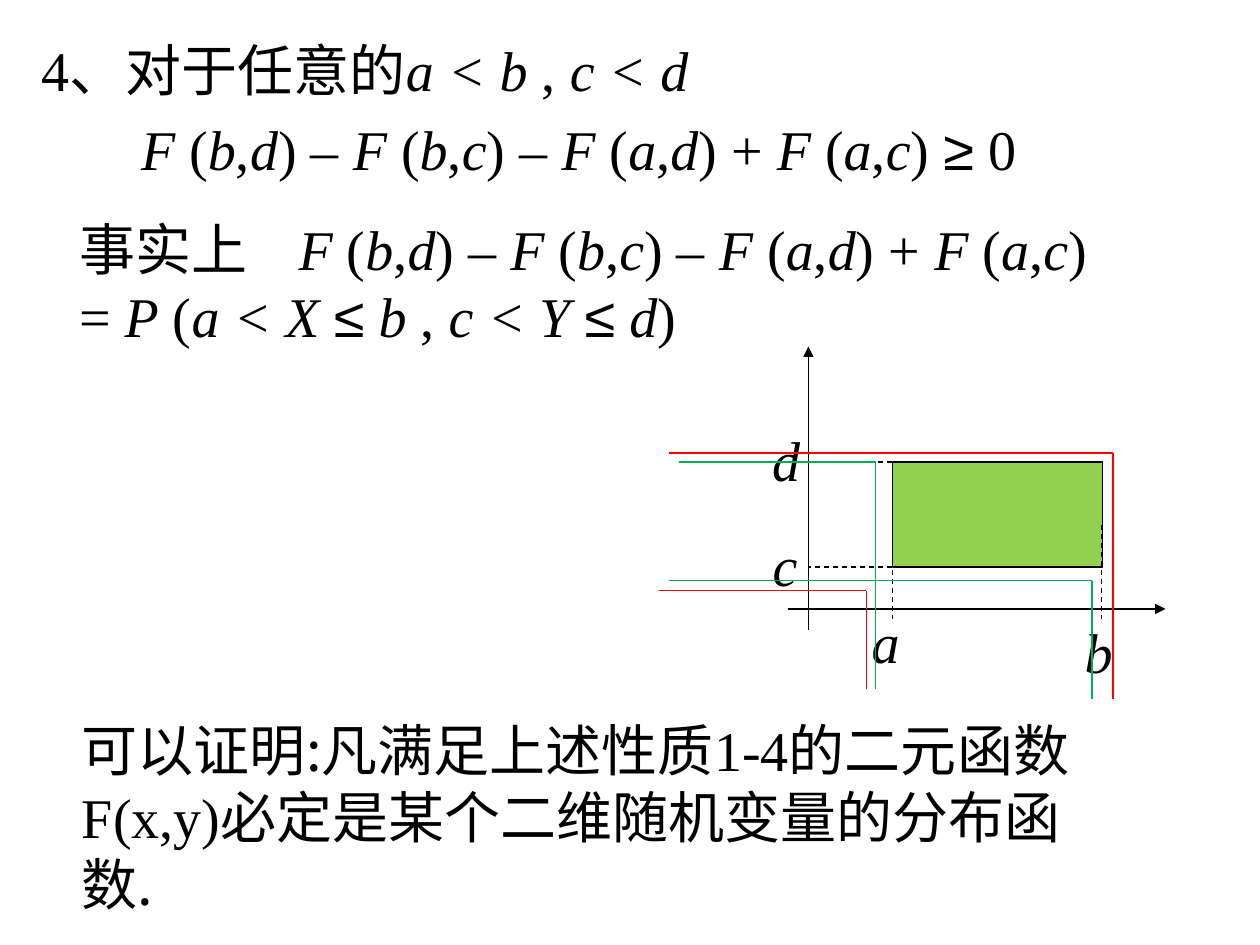
from itertools import groupby
from typing import NamedTuple

from lxml import etree
from pptx import Presentation
from pptx.dml.color import RGBColor
from pptx.enum.dml import MSO_LINE
from pptx.enum.shapes import MSO_CONNECTOR, MSO_SHAPE
from pptx.enum.text import MSO_ANCHOR, MSO_AUTO_SIZE, PP_ALIGN
from pptx.oxml.ns import qn
from pptx.util import Inches, Pt

BLACK = RGBColor(0x00, 0x00, 0x00)
RED = RGBColor(0xFF, 0x00, 0x00)
GREEN = RGBColor(0x00, 0xB0, 0x50)
LIME = RGBColor(0x92, 0xD0, 0x50)
STRAIGHT = MSO_CONNECTOR.STRAIGHT
RECTANGLE = MSO_SHAPE.RECTANGLE
DASH = MSO_LINE.DASH
LEFT = PP_ALIGN.LEFT
TOP, MIDDLE = MSO_ANCHOR.TOP, MSO_ANCHOR.MIDDLE
NO_AUTOSIZE = MSO_AUTO_SIZE.NONE

SERIF, SYMBOL, HAN = "Times New Roman", "Arial", "Noto Sans CJK SC"
SLIDE_WIDTH, SLIDE_HEIGHT = Inches(10), Inches(7.5)
COLUMNS, ROWS = 120, 90
HAIRLINE = Pt(0.75)

# Grid positions of the diagram
A, B, C, D = 85, 105, 54, 44
Y_AXIS, X_AXIS = 77, 58


class Run(NamedTuple):
    text: str
    font: str = SERIF
    italic: bool = False


class Box(NamedTuple):
    left: float
    top: float
    width: float
    height: float


class Quadrant(NamedTuple):
    """Region to the lower left of a corner, open at both ends."""
    start: float
    corner_x: float
    corner_y: float
    end: float
    color: RGBColor


class Label(NamedTuple):
    letter: str
    left: float
    top: float


INCREMENT = "*F *(*b*,*d*) – *F *(*b*,*c*) – *F *(*a*,*d*) + *F *(*a*,*c*)"
CONCLUSION = [
    Run("可以证明:凡满足上述性质", HAN), Run("1-4"), Run("的二元函数", HAN),
    Run("F(x,y)"), Run("必定是某个二维随机变量的分布函数.", HAN),
]
LABELS = [
    Label("a", 81.84, 57.24), Label("b", 102.12, 58.2),
    Label("c", 72.4, 49.92), Label("d", 72.36, 39.96),
]
QUADRANTS = [
    Quadrant(63.75, 106, 43.15, 66.6, RED),
    Quadrant(63.75, 104, 55.3, 66.6, GREEN),
    Quadrant(64.7, 83.4, 44, 65.6, GREEN),
    Quadrant(62.75, 82.5, 56.25, 65.6, RED),
]


def col(count: float) -> int:
    return round(SLIDE_WIDTH * count / COLUMNS)


def row(count: float) -> int:
    return round(SLIDE_HEIGHT * count / ROWS)


def place(box: Box) -> tuple:
    return col(box.left), row(box.top), col(box.width), row(box.height)


def apply(target, values: dict) -> None:
    for name, value in values.items():
        setattr(target, name, value)


def formula(markup: str) -> list[Run]:
    """Text between asterisks is italic; comparison signs use the symbol font."""
    runs = []
    for index, part in enumerate(markup.split("*")):
        for is_symbol, letters in groupby(part, lambda letter: letter in "≤≥"):
            runs.append(Run("".join(letters), SYMBOL if is_symbol else SERIF,
                            index % 2 == 1 and not is_symbol))
    return runs


def write(frame, lines: list[list[Run]], wrap=False, anchor=TOP) -> None:
    apply(frame, {"word_wrap": wrap, "auto_size": NO_AUTOSIZE, "vertical_anchor": anchor})
    for index, runs in enumerate(lines):
        paragraph = frame.add_paragraph() if index else frame.paragraphs[0]
        apply(paragraph, {"alignment": LEFT, "line_spacing": 1.0,
                          "space_before": Pt(0), "space_after": Pt(0)})
        for item in runs:
            run = paragraph.add_run()
            run.text = item.text
            apply(run.font, {"name": item.font, "size": Pt(32), "italic": item.italic})
            run.font.color.rgb = BLACK
            east_asian = etree.SubElement(run.font._element, qn("a:ea"))
            east_asian.set("typeface", HAN)


def add_text(slide, box: Box, lines: list[list[Run]]):
    text_box = slide.shapes.add_textbox(*place(box))
    write(text_box.text_frame, lines)
    return text_box.text_frame


def fill_placeholder(holder, box: Box, runs: list[Run], **layout) -> None:
    apply(holder, dict(zip(("left", "top", "width", "height"), place(box))))
    write(holder.text_frame, [runs], **layout)


def add_line(slide, start, end, color=BLACK, dash=None, arrow=False) -> None:
    line = slide.shapes.add_connector(
        STRAIGHT, col(start[0]), row(start[1]), col(end[0]), row(end[1]))
    line.line.color.rgb = color
    apply(line.line, {"width": HAIRLINE, "dash_style": dash})
    if arrow:
        etree.SubElement(line.line._get_or_add_ln(), qn("a:tailEnd"), type="triangle")
    etree.SubElement(line._element.spPr, qn("a:effectLst"))


def add_quadrant(slide, region: Quadrant) -> None:
    corner = (region.corner_x, region.corner_y)
    add_line(slide, (region.start, region.corner_y), corner, region.color)
    add_line(slide, corner, (region.corner_x, region.end), region.color)


def add_diagram(slide) -> None:
    add_line(slide, (75, X_AXIS), (111, X_AXIS), arrow=True)
    add_line(slide, (Y_AXIS, 60), (Y_AXIS, 33), arrow=True)
    area = slide.shapes.add_shape(RECTANGLE, *place(Box(A, D, B - A, C - D)))
    area.shadow.inherit = False
    area.fill.solid()
    area.fill.fore_color.rgb = LIME
    area.line.color.rgb = BLACK
    area.line.width = HAIRLINE
    for x in (A, B - 0.1):
        add_line(slide, (x, 50), (x, 59), dash=DASH)
    for y in (C, D):
        add_line(slide, (A, y), (Y_AXIS, y), dash=DASH)
    for label in LABELS:
        add_text(slide, Box(label.left, label.top, 5, 7.7), [[Run(label.letter, italic=True)]])
    for region in QUADRANTS:
        add_quadrant(slide, region)


def main() -> None:
    deck = Presentation()
    apply(deck, {"slide_width": SLIDE_WIDTH, "slide_height": SLIDE_HEIGHT})
    slide = deck.slides.add_slide(deck.slide_layouts[1])
    title, body = slide.placeholders

    fill_placeholder(title, Box(2.75, 2.75, 72, 7.7),
                     formula("4、对于任意的*a < b* , *c < d*"))
    add_text(slide, Box(12.25, 10.3, 87, 7.7), [formula(INCREMENT + " ≥ 0")])
    proof = add_text(slide, Box(6.35, 19.8, 104, 14), [
        formula("事实上\t" + INCREMENT),
        formula("= *P* (*a < X *≤ *b* , *c < Y *≤* d*)"),
    ])
    tabs = etree.SubElement(proof.paragraphs[0]._p.get_or_add_pPr(), qn("a:tabLst"))
    etree.SubElement(tabs, qn("a:tab"), pos=str(col(20.9)), algn="l")
    add_diagram(slide)

    fill_placeholder(body, Box(6.6, 67.55, 99.4, 20.4), CONCLUSION,
                     wrap=True, anchor=MIDDLE)
    bullet_format = body.text_frame.paragraphs[0]._p.get_or_add_pPr()
    for name in ("marL", "indent"):
        bullet_format.set(name, "0")
    etree.SubElement(bullet_format, qn("a:buNone"))
    deck.save("out.pptx")


if __name__ == "__main__":
    main()
